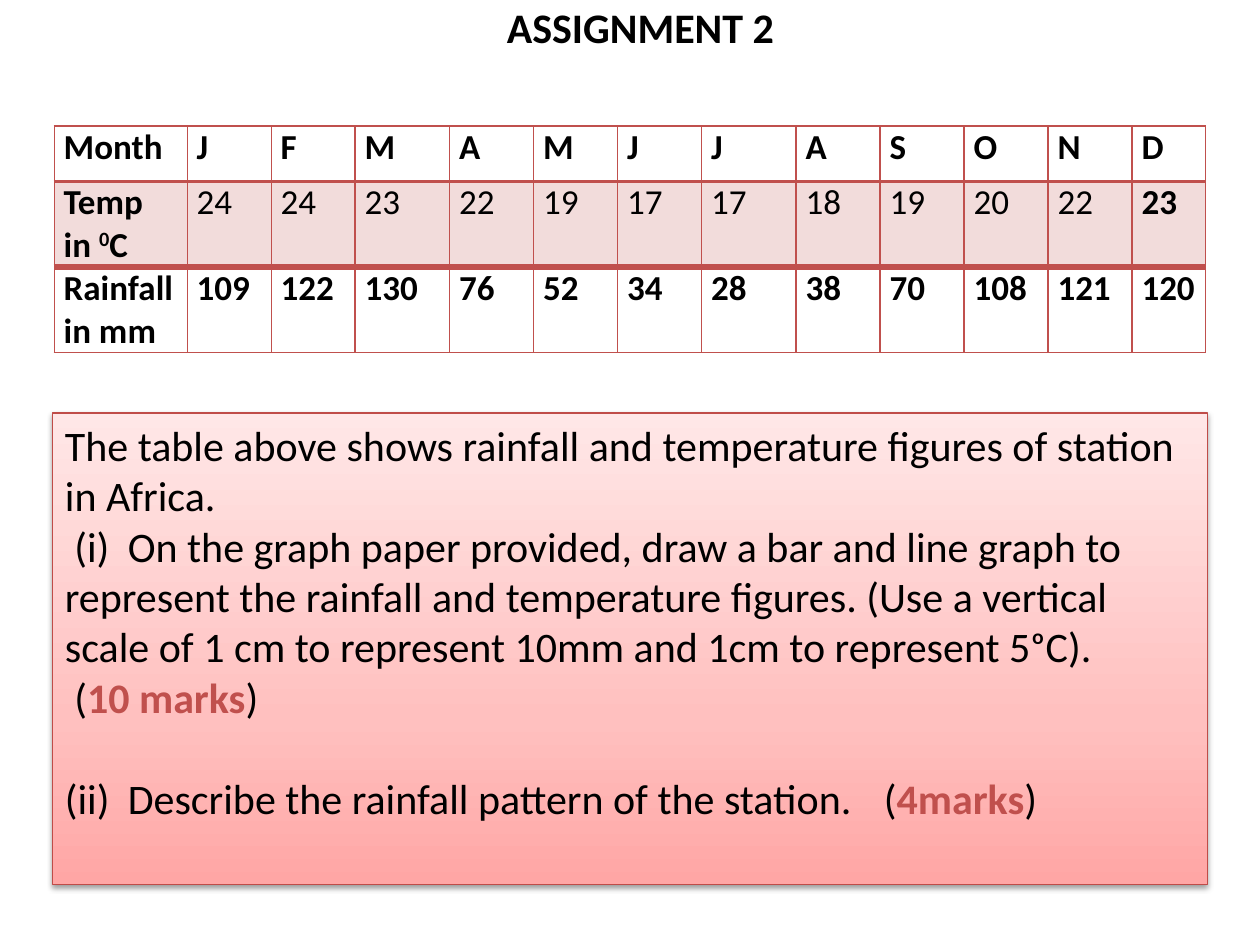
from lxml import etree
from pptx import Presentation
from pptx.dml.color import RGBColor
from pptx.enum.dml import MSO_THEME_COLOR
from pptx.enum.shapes import MSO_SHAPE
from pptx.enum.text import MSO_ANCHOR, MSO_AUTO_SIZE, PP_ALIGN
from pptx.oxml import parse_xml
from pptx.util import Pt

RECT = MSO_SHAPE.RECTANGLE
MIDDLE, TOP = MSO_ANCHOR.MIDDLE, MSO_ANCHOR.TOP
CENTER, LEFT = PP_ALIGN.CENTER, PP_ALIGN.LEFT
NO_FIT = MSO_AUTO_SIZE.NONE
NS = "http://schemas.openxmlformats.org/drawingml/2006/main"


class Theme:
    font = "Calibri"
    ink = "000000"
    accent = "C0504D"
    outline = "BF4C48"
    gradient = [(0, "FFA6A5"), (35, "FFC0BF"), (100, "FFE7E7")]
    title_size = 24
    table_size = 20
    question_size = 24


def add_run(paragraph, text, size, color=Theme.ink, bold=False):
    run = paragraph.add_run()
    run.text = text
    run.font.name = Theme.font
    run.font.size = Pt(size)
    run.font.bold = bold
    run.font.color.rgb = RGBColor.from_string(color)
    return run


def set_borders(cell, widths):
    properties = cell._tc.get_or_add_tcPr()
    for side, width in zip("LRTB", widths):
        properties.append(parse_xml(
            f'<a:ln{side} xmlns:a="{NS}" w="{Pt(width)}"><a:solidFill>'
            f'<a:srgbClr val="{Theme.accent}"/></a:solidFill></a:ln{side}>'))


prs = Presentation()
prs.slide_width, prs.slide_height = Pt(720), Pt(540)
slide = prs.slides.add_slide(prs.slide_layouts[5])

# Title
title = slide.shapes.title
title.left, title.top, title.width, title.height = Pt(228), Pt(0), Pt(276), Pt(30)
title.text_frame.auto_size = NO_FIT
title.text_frame.vertical_anchor = MIDDLE
heading = title.text_frame.paragraphs[0]
heading.alignment = CENTER
add_run(heading, "ASSIGNMENT 2", Theme.title_size, bold=True)

# Climate table
climate_rows = [
    ["Month"] + list("JFMAMJJASOND"),
    ["Temp in ⁰C", 24, 24, 23, 22, 19, 17, 17, 18, 19, 20, 22, 23],
    ["Rainfall in mm", 109, 122, 130, 76, 52, 34, 28, 38, 70, 108, 121, 120],
]
climate_rows[1][0] = "Temp in "
column_widths = [76, 48, 48, 54, 48, 48, 48, 54, 48, 48, 48, 48, 42]
row_heights = [31.5, 31.5, 42]
rules = [1, 2, 4, 1]  # horizontal rules from top to bottom
climate = slide.shapes.add_table(
    len(climate_rows), len(column_widths), Pt(31), Pt(72),
    Pt(sum(column_widths)), Pt(sum(row_heights))).table
climate.first_row = climate.horz_banding = False
for column, width in zip(climate.columns, column_widths):
    column.width = Pt(width)
for r, values in enumerate(climate_rows):
    climate.rows[r].height = Pt(row_heights[r])
    for c, value in enumerate(values):
        cell = climate.cell(r, c)
        cell.margin_left = cell.margin_right = Pt(5.4)
        cell.margin_top = cell.margin_bottom = Pt(0)
        set_borders(cell, (1, 1, rules[r], rules[r + 1]))
        is_temperature = r == 1
        if is_temperature:
            cell.fill.solid()
            cell.fill.fore_color.rgb = RGBColor.from_string(Theme.accent)
            tint = cell._tc.tcPr.find(f".//{{{NS}}}solidFill[last()]")
            tint = cell._tc.tcPr.findall(f"{{{NS}}}solidFill")[0][0]
            etree.SubElement(tint, f"{{{NS}}}alpha", val="20000")
        else:
            cell.fill.background()
        bold = not is_temperature or c in (0, len(values) - 1)
        line = cell.text_frame.paragraphs[0]
        add_run(line, str(value), Theme.table_size, bold=bold)
        if is_temperature and c == 0:
            degree = add_run(line, "0", Theme.table_size, bold=True)
            degree._r.get_or_add_rPr().set("baseline", "30000")
            add_run(line, "C", Theme.table_size, bold=True)

# Question panel
panel = slide.shapes.add_shape(RECT, Pt(30), Pt(236), Pt(660), Pt(269.5))
panel.line.color.rgb = RGBColor.from_string(Theme.outline)
panel.line.width = Pt(0.75)
stops = "".join(f'<a:gs pos="{position * 1000}"><a:srgbClr val="{color}"/></a:gs>'
                for position, color in Theme.gradient)
outline = panel._element.spPr.find(f"{{{NS}}}ln")
outline.addprevious(parse_xml(
    f'<a:gradFill xmlns:a="{NS}" rotWithShape="1"><a:gsLst>{stops}</a:gsLst>'
    '<a:lin ang="16200000" scaled="0"/></a:gradFill>'))
outline.addnext(parse_xml(
    f'<a:effectLst xmlns:a="{NS}"><a:outerShdw blurRad="{Pt(3.1)}" dist="{Pt(1.6)}" '
    'dir="5400000" rotWithShape="0"><a:srgbClr val="000000"><a:alpha val="38000"/>'
    '</a:srgbClr></a:outerShdw></a:effectLst>'))

# Questions: (first-line indent, space before, [(text, is_marks)])
questions = [
    (0, 0, [("The table above shows rainfall and temperature figures of station "
             "in Africa.", False)]),
    (5.4, 0, [("(i)\tOn the graph paper provided, draw a bar and line graph to "
               "represent the rainfall and temperature figures. (Use a vertical "
               "scale of 1 cm to represent 10mm and 1cm to represent 5ᵒC).", False)]),
    (5.4, 0, [("(", False), ("10 marks", True), (")", False)]),
    (0, 29, [("(ii)\tDescribe the rainfall pattern of the station.\t(", False),
             ("4marks", True), (")", False)]),
]
frame = panel.text_frame
frame.word_wrap = True
frame.vertical_anchor = TOP
for index, (indent, space, parts) in enumerate(questions):
    question = frame.add_paragraph() if index else frame.paragraphs[0]
    properties = question._p.get_or_add_pPr()
    properties.set("indent", str(Pt(indent)))
    properties.append(parse_xml(
        f'<a:tabLst xmlns:a="{NS}"><a:tab pos="{Pt(36)}" algn="l"/>'
        f'<a:tab pos="{Pt(548)}" algn="l"/></a:tabLst>'))
    question.alignment = LEFT
    question.space_before = Pt(space)
    for text, is_marks in parts:
        add_run(question, text, Theme.question_size,
                Theme.accent if is_marks else Theme.ink, is_marks)

prs.save("out.pptx")
